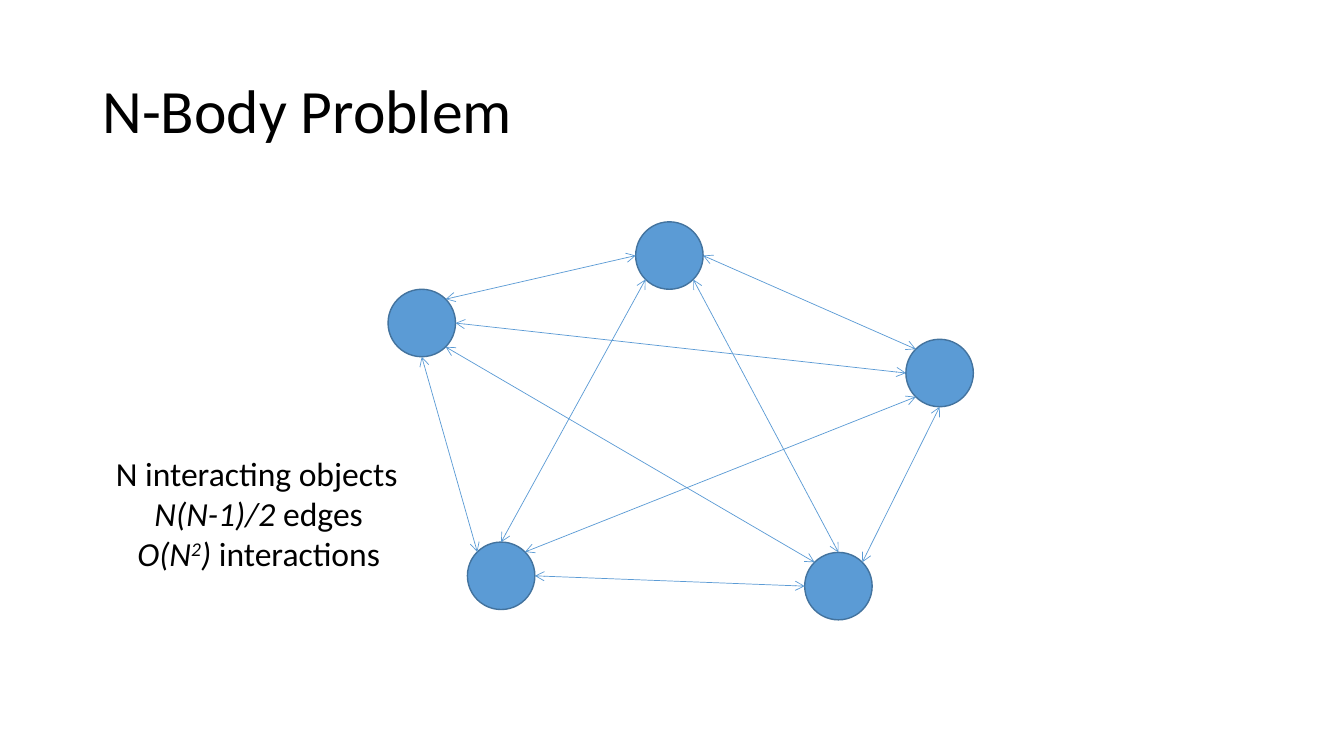
import math

import pptx
import pptx.dml.color
import pptx.enum.shapes
import pptx.enum.text
import pptx.oxml
import pptx.oxml.ns
import pptx.util
from pptx.util import Cm

# Content: each paragraph is a list of (text, style) runs
TITLE = [[("N-Body Problem", "")]]
FACTS = [
    [("N interacting objects", "")],
    [("N(N-1)/2 ", "italic"), ("edges", "")],
    [("O(N", "italic"), ("2", "superscript"), (")", "italic"), (" interactions", "")],
]

# Left and top of each body, in cm
BODIES = {
    "left": (9.78, 7.29),
    "lower right": (20.28, 13.92),
    "top": (16.02, 5.59),
    "lower left": (11.78, 13.66),
    "right": (22.83, 8.55),
}
DIAMETER = 1.7

# Each edge: body, compass point on its rim, body, compass point on its rim
EDGES = [
    ("left", "NE", "top", "W"),
    ("left", "S", "lower left", "NW"),
    ("left", "E", "right", "W"),
    ("left", "SE", "lower right", "NW"),
    ("lower left", "N", "top", "SW"),
    ("lower left", "NE", "right", "SW"),
    ("lower left", "E", "lower right", "W"),
    ("top", "SE", "lower right", "N"),
    ("top", "E", "right", "NW"),
    ("right", "S", "lower right", "NE"),
]
COMPASS = ["E", "SE", "S", "SW", "W", "NW", "N", "NE"]

FONT = "Calibri"
BLACK = pptx.dml.color.RGBColor(0x00, 0x00, 0x00)
BLUE = pptx.dml.color.RGBColor(0x5B, 0x9B, 0xD5)
DARK_BLUE = pptx.dml.color.RGBColor(0x43, 0x73, 0x9E)
LEFT = pptx.enum.text.PP_ALIGN.LEFT
CENTER = pptx.enum.text.PP_ALIGN.CENTER


def add_text(slide, paragraphs, box, size, alignments, spacing=1.0,
             anchor=pptx.enum.text.MSO_ANCHOR.TOP):
    frame = slide.shapes.add_textbox(*(Cm(length) for length in box)).text_frame
    frame.word_wrap = True
    frame.vertical_anchor = anchor
    for index, (runs, alignment) in enumerate(zip(paragraphs, alignments)):
        paragraph = frame.add_paragraph() if index else frame.paragraphs[0]
        paragraph.alignment = alignment
        paragraph.line_spacing = spacing
        for text, style in runs:
            run = paragraph.add_run()
            run.text = text
            run.font.name = FONT
            run.font.size = pptx.util.Pt(size)
            run.font.color.rgb = BLACK
            run.font.italic = style != ""
            if style == "superscript":
                run._r.get_or_add_rPr().set("baseline", "30000")


def add_body(slide, left, top):
    body = slide.shapes.add_shape(
        pptx.enum.shapes.MSO_SHAPE.OVAL, Cm(left), Cm(top), Cm(DIAMETER), Cm(DIAMETER))
    body.shadow.inherit = False
    body.fill.solid()
    body.fill.fore_color.rgb = BLUE
    body.line.color.rgb = DARK_BLUE
    body.line.width = pptx.util.Pt(1)


def rim_point(name, direction):
    """Return the point on a body's rim that lies in a compass direction."""
    left, top = BODIES[name]
    angle = COMPASS.index(direction) * math.pi / 4
    radius = DIAMETER / 2
    return (Cm(left + radius * (1 + math.cos(angle))),
            Cm(top + radius * (1 + math.sin(angle))))


def add_edge(slide, start, end):
    edge = slide.shapes.add_connector(
        pptx.enum.shapes.MSO_CONNECTOR.STRAIGHT, *start, *end)
    edge.line.color.rgb = BLUE
    edge.line.width = pptx.util.Pt(0.5)
    line = edge.line._get_or_add_ln()
    for tag in ("a:headEnd", "a:tailEnd"):
        arrowhead = pptx.oxml.parse_xml(f"<{tag} {pptx.oxml.ns.nsdecls('a')} type='arrow'/>")
        line.append(arrowhead)
    edge._element.spPr.append(
        pptx.oxml.parse_xml(f"<a:effectLst {pptx.oxml.ns.nsdecls('a')}/>"))


def main():
    presentation = pptx.Presentation()
    presentation.slide_width = Cm(33.87)
    presentation.slide_height = Cm(19.05)
    slide = presentation.slides.add_slide(presentation.slide_layouts[6])

    # Title
    add_text(slide, TITLE, (2.33, 1.01, 29.21, 3.68), 44, [LEFT], spacing=0.9,
             anchor=pptx.enum.text.MSO_ANCHOR.MIDDLE)

    # Bodies and the edges between them
    for left, top in BODIES.values():
        add_body(slide, left, top)
    for first, first_side, second, second_side in EDGES:
        add_edge(slide, rim_point(first, first_side), rim_point(second, second_side))

    # Facts about the interactions
    add_text(slide, FACTS, (2.67, 11.28, 7.7, 3.33), 24, [LEFT, CENTER, CENTER])

    presentation.save("out.pptx")


if __name__ == "__main__":
    main()
